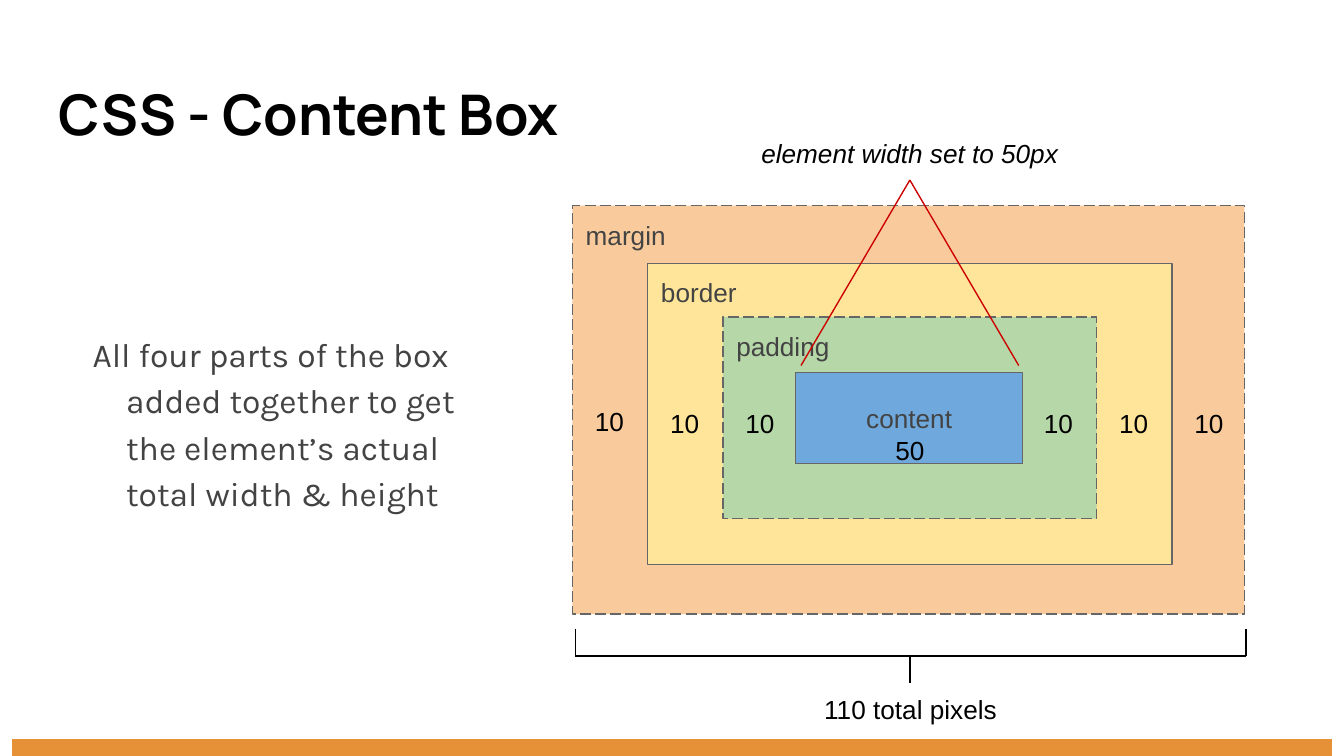
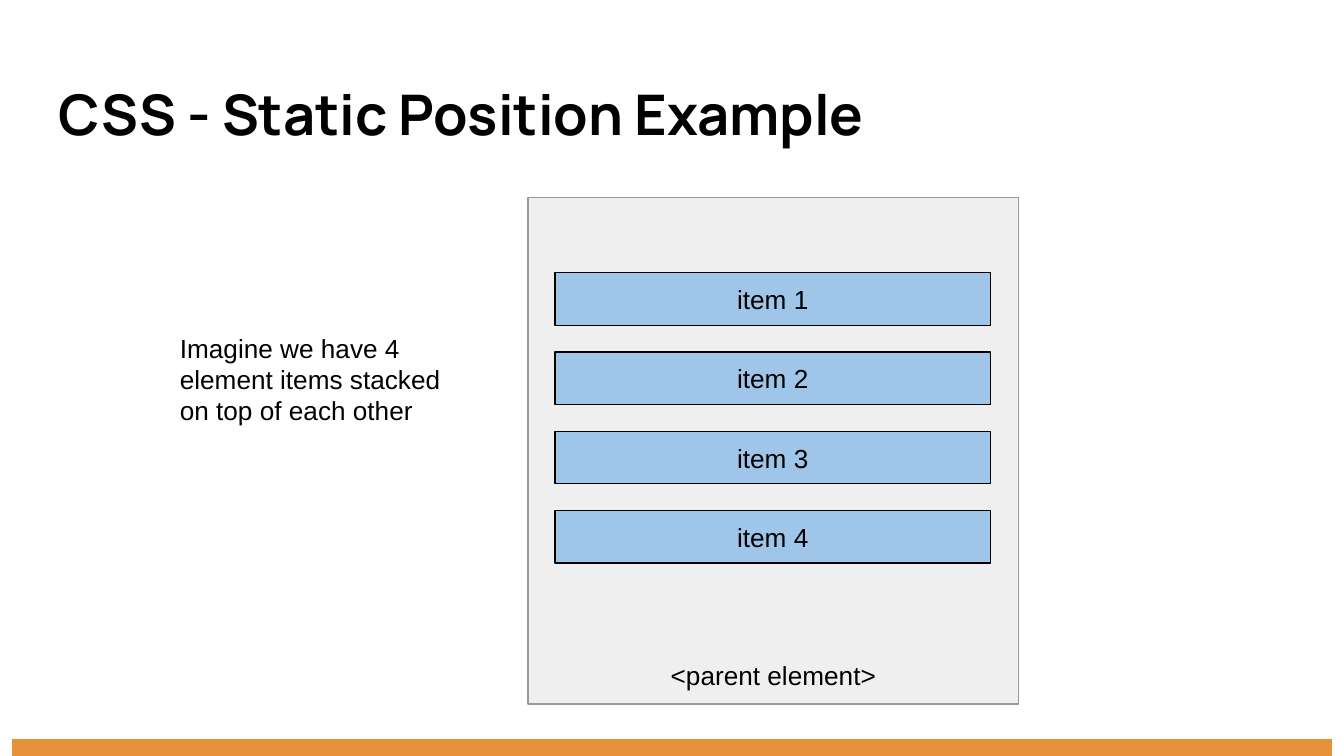
from pptx import Presentation
from pptx.dml.color import RGBColor
from pptx.enum.dml import MSO_LINE
from pptx.enum.shapes import MSO_CONNECTOR, MSO_SHAPE
from pptx.enum.text import MSO_ANCHOR as ANCHOR, PP_ALIGN as ALIGN
from pptx.oxml.ns import qn
from pptx.util import Inches, Pt
from lxml.etree import SubElement

COLORS = {
    "ink": "000000", "gray_text": "434343", "band": "E69138",
    "margin": "F9CB9C", "border": "FFE599", "padding": "B6D7A8",
    "content": "6FA8DC", "box_line": "666666", "pointer": "CC0000",
    "parent": "EFEFEF", "parent_line": "999999", "item": "9FC5E8",
}
TITLE_FONT, BODY_FONT, LABEL_FONT = "Manrope", "Karla", "Arial"


def rgb(name):
    return RGBColor.from_string(COLORS[name])


def write(shape, text, size=14, font=LABEL_FONT, color="ink", bold=False,
          italic=False, align=ALIGN.LEFT, anchor=ANCHOR.TOP):
    """Put one formatted paragraph in a shape and return the paragraph."""
    tf = shape.text_frame
    tf.word_wrap = True
    tf.vertical_anchor = anchor
    tf.margin_left = tf.margin_right = Inches(0.1)
    tf.margin_top = tf.margin_bottom = Inches(0.1)
    p = tf.paragraphs[0]
    p.alignment = align
    r = p.add_run()
    r.text = text
    r.font.size, r.font.name = Pt(size), font
    r.font.bold, r.font.italic = bold, italic
    r.font.color.rgb = rgb(color)
    return p


def add_text(s, box, text, **fmt):
    return write(s.shapes.add_textbox(*map(Inches, box)), text, **fmt)


def add_rect(s, box, fill, line=None, dashed=False):
    sp = s.shapes.add_shape(MSO_SHAPE.RECTANGLE, *map(Inches, box))
    sp.shadow.inherit = False
    sp.fill.solid()
    sp.fill.fore_color.rgb = rgb(fill)
    if line:
        sp.line.color.rgb = rgb(line)
        sp.line.width = Pt(0.75)
        if dashed:
            sp.line.dash_style = MSO_LINE.LONG_DASH
    else:
        sp.line.fill.background()
    return sp


def add_line(s, start, end, color="ink"):
    cx = s.shapes.add_connector(MSO_CONNECTOR.STRAIGHT,
                                *map(Inches, (*start, *end)))
    cx.line.color.rgb = rgb(color)
    cx.line.width = Pt(0.75)
    SubElement(cx._element.spPr, qn("a:effectLst"))


def add_base_slide(prs, title):
    """Blank slide with the footer band and the title."""
    s = prs.slides.add_slide(prs.slide_layouts[6])
    add_rect(s, (0.09, 5.5, 9.82, 0.13), "band")
    add_text(s, (0.34, 0.49, 9.32, 0.68), title, size=30,
             font=TITLE_FONT, bold=True)
    return s


def add_body(s, box, text):
    p = add_text(s, box, text, size=18, font=BODY_FONT, color="gray_text",
                 anchor=ANCHOR.MIDDLE)
    p.line_spacing = 1.15
    p.space_after = Pt(16)
    pPr = p._p.get_or_add_pPr()
    pPr.set("marL", str(Inches(0.5)))
    pPr.set("indent", str(Inches(-0.25)))


def add_box_model(s, box):
    """Nested layers, side widths, width pointer and total bracket."""
    x, y, w, h = box
    mid = x + w / 2 + 0.01

    # Layers, from the outside in
    layers = [("margin", 0, 0, w, h), ("border", 0.56, 0.43, 3.9, 2.24),
              ("padding", 1.12, 0.83, 2.78, 1.5),
              ("content", 1.66, 1.24, 1.69, 0.68)]
    for name, dx, dy, lw, lh in layers:
        inner = name == "content"
        sp = add_rect(s, (x + dx, y + dy, lw, lh), name, "box_line",
                      dashed=name in ("margin", "padding"))
        write(sp, name, color="gray_text",
              align=ALIGN.CENTER if inner else ALIGN.LEFT,
              anchor=ANCHOR.MIDDLE if inner else ANCHOR.TOP)

    # Widths on both sides and in the middle
    cell_w, cell_h, step = 0.55, 0.4, 0.56
    for side in (x, x + 3.34):
        for i in range(3):
            left = side + i * step
            add_text(s, (left, y + 1.4, cell_w, cell_h), "10",
                     align=ALIGN.CENTER,
                     anchor=ANCHOR.MIDDLE if left == x else ANCHOR.TOP)
    add_text(s, (mid - cell_w / 2, y + 1.6, cell_w, cell_h), "50",
             align=ALIGN.CENTER)

    # Bracket for the total
    top, bar = y + h + 0.11, y + h + 0.31
    left, right = x + 0.02, x + w + 0.01
    for end_x in (left, right):
        add_line(s, (end_x, top), (end_x, bar))
    add_line(s, (right, bar), (left, bar))
    add_line(s, (mid, bar), (mid, bar + 0.2))
    add_text(s, (mid - 1.25, bar + 0.18, 2.51, 0.4), "110 total pixels",
             align=ALIGN.CENTER)

    # Pointer to the content width
    add_text(s, (mid - 1.22, y - 0.59, 2.44, 0.4),
             "element width set to 50px", italic=True,
             align=ALIGN.CENTER, anchor=ANCHOR.MIDDLE)
    for dx in (-0.81, 0.81):
        add_line(s, (mid, y - 0.19), (mid + dx, y + 1.19), "pointer")


def add_item_stack(s, box, count):
    """Parent element with evenly stacked items."""
    x, y, w, h = box
    parent = add_rect(s, box, "parent", "parent_line")
    write(parent, "<parent element>", align=ALIGN.CENTER,
          anchor=ANCHOR.BOTTOM)
    pad, first, step = 0.2, 0.56, 0.59
    for i in range(count):
        sp = add_rect(s, (x + pad, y + first + i * step, 3.24, 0.39),
                      "item", "ink")
        write(sp, f"item {i + 1}", align=ALIGN.CENTER, anchor=ANCHOR.MIDDLE)


def content_box_slide(prs):
    s = add_base_slide(prs, "CSS - Content Box")
    add_body(s, (0.34, 1.26, 3.51, 3.74),
             "All four parts of the box added together to get "
             "the element’s actual total width & height")
    add_box_model(s, (4.26, 1.53, 5, 3.04))


def static_position_slide(prs):
    s = add_base_slide(prs, "CSS - Static Position Example")
    add_item_stack(s, (3.93, 1.47, 3.65, 3.77), 4)
    add_text(s, (1.24, 2.28, 2.16, 1.08),
             "Imagine we have 4 element items stacked on top of each other",
             anchor=ANCHOR.MIDDLE)


def main():
    prs = Presentation()
    # Widescreen, 16:9
    prs.slide_width = Inches(10)
    prs.slide_height = Inches(10 * 9 / 16)
    content_box_slide(prs)
    static_position_slide(prs)
    prs.save("out.pptx")


if __name__ == "__main__":
    main()
